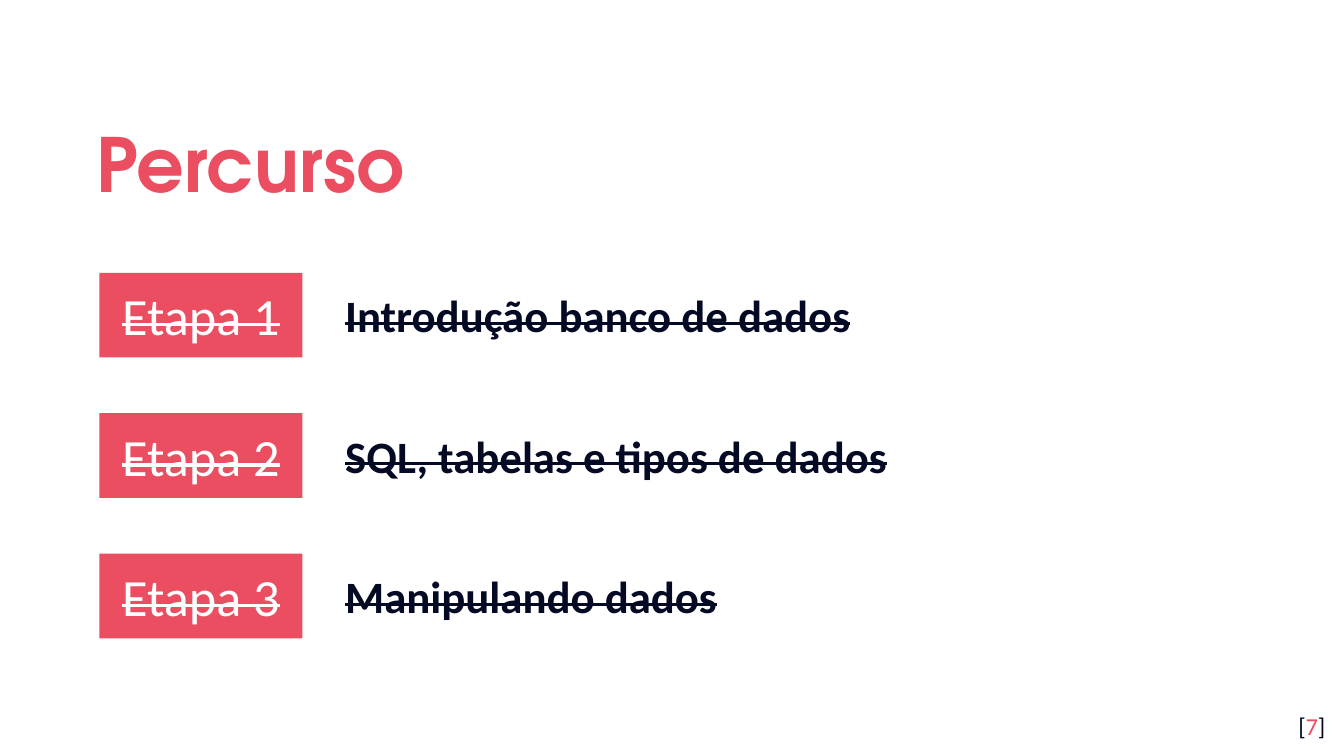
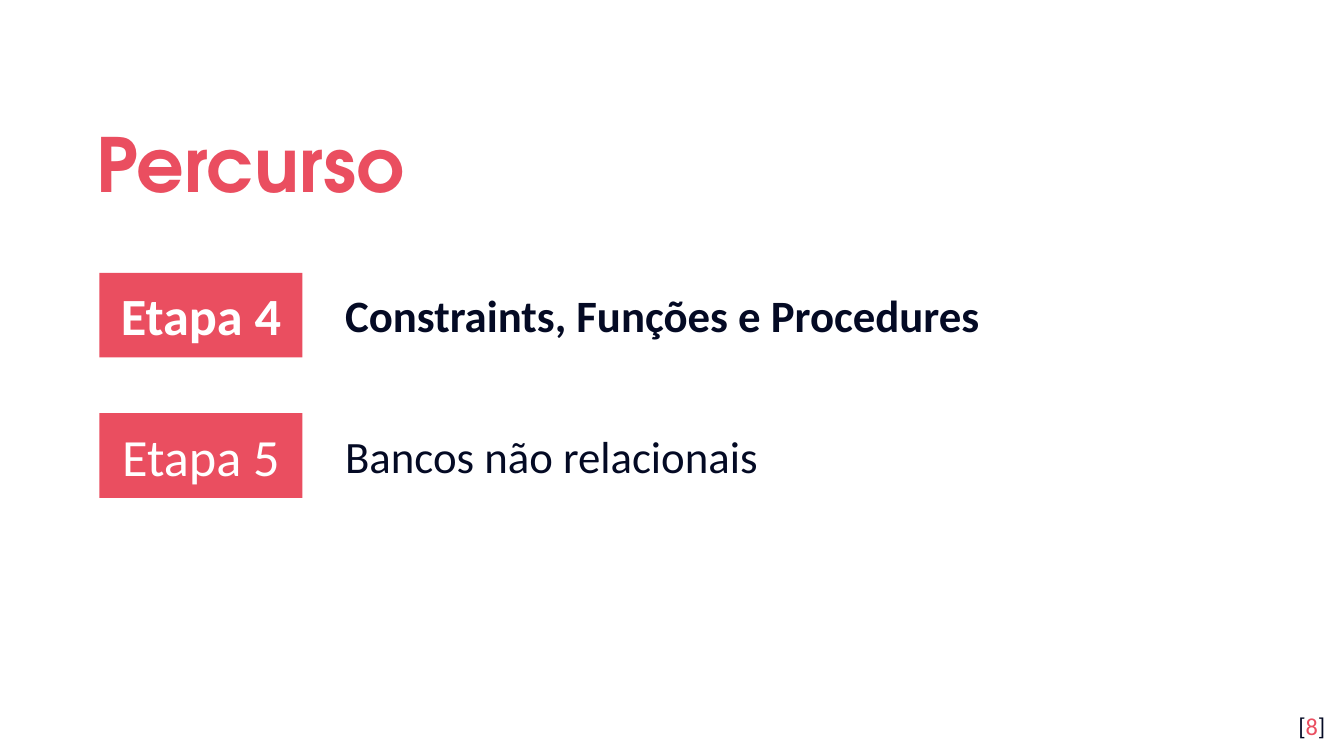
"""Builds the two course-path slides, with finished stages struck through."""
from pptx import Presentation
from pptx.dml.color import RGBColor
from pptx.enum.shapes import MSO_SHAPE
from pptx.enum.text import MSO_ANCHOR, PP_ALIGN
from pptx.util import Inches, Pt

RECTANGLE = MSO_SHAPE.RECTANGLE
TOP, MIDDLE = MSO_ANCHOR.TOP, MSO_ANCHOR.MIDDLE
LEFT, CENTER, RIGHT = PP_ALIGN.LEFT, PP_ALIGN.CENTER, PP_ALIGN.RIGHT

TITLE = "Percurso"
SLIDES = [
    {"number": 7, "stages": [
        {"label": "Etapa 1", "topic": "Introdução banco de dados", "state": "done"},
        {"label": "Etapa 2", "topic": "SQL, tabelas e tipos de dados", "state": "done"},
        {"label": "Etapa 3", "topic": "Manipulando dados", "state": "done"},
    ]},
    {"number": 8, "stages": [
        {"label": "Etapa 4", "topic": "Constraints, Funções e Procedures", "state": "current"},
        {"label": "Etapa 5", "topic": "Bancos não relacionais", "state": "next"},
    ]},
]

COLORS = {"accent": "EA4E60", "ink": "040A24", "white": "FFFFFF"}
TITLE_FONT, BODY_FONT = "TeX Gyre Adventor", "Calibri"

SLIDE_WIDTH = Inches(10)
SLIDE_HEIGHT = SLIDE_WIDTH * 9 // 16
FIRST_STAGE_TOP, LAST_STAGE_TOP = 2.03, 4.12
STAGE_PITCH = (LAST_STAGE_TOP - FIRST_STAGE_TOP) / 2
LABEL_LEFT, LABEL_WIDTH, LABEL_HEIGHT = 0.74, 1.51, 0.63
TOPIC_LEFT, TOPIC_WIDTH, TOPIC_HEIGHT = 2.47, 7.1, 0.5
HANGING_INDENT = 0.5


def color(name):
    return RGBColor.from_string(COLORS[name])


def set_frame(shape, anchor=TOP, vertical_inset=0.1):
    frame = shape.text_frame
    frame.word_wrap = True
    frame.vertical_anchor = anchor
    frame.margin_left = frame.margin_right = Inches(0.1)
    frame.margin_top = frame.margin_bottom = Inches(vertical_inset)
    return frame.paragraphs[0]


def set_indent(paragraph, margin, first_line):
    properties = paragraph._p.get_or_add_pPr()
    properties.set("marL", str(Inches(margin)))
    properties.set("indent", str(Inches(first_line)))


def add_run(paragraph, text, size, color_name, font=BODY_FONT, bold=False, strike=False):
    run = paragraph.add_run()
    run.text = text
    run.font.name = font
    run.font.size = Pt(size)
    run.font.bold = bold
    run.font.color.rgb = color(color_name)
    if strike:
        run.font._element.set("strike", "sngStrike")


def add_text_box(slide, left, top, width, height, **frame_options):
    box = slide.shapes.add_textbox(Inches(left), Inches(top), Inches(width), Inches(height))
    return set_frame(box, **frame_options)


def add_title(slide):
    paragraph = add_text_box(slide, 0.62, 0.7, 8.1, 0.92, anchor=MIDDLE)
    paragraph.line_spacing = 1.15
    add_run(paragraph, TITLE, 40, "accent", TITLE_FONT, bold=True)


def add_stage(slide, top, label, topic, state):
    done, current = state == "done", state == "current"
    box = slide.shapes.add_shape(RECTANGLE, Inches(LABEL_LEFT), Inches(top),
                                 Inches(LABEL_WIDTH), Inches(LABEL_HEIGHT))
    box.shadow.inherit = False
    box.fill.solid()
    box.fill.fore_color.rgb = color("accent")
    box.line.fill.background()
    paragraph = set_frame(box, MIDDLE)
    paragraph.alignment = CENTER
    paragraph.level = 1
    set_indent(paragraph, 0, 0)
    add_run(paragraph, label, 28, "white", bold=current, strike=done)

    topic_top = top + (LABEL_HEIGHT - TOPIC_HEIGHT) / 2
    paragraph = add_text_box(slide, TOPIC_LEFT, topic_top, TOPIC_WIDTH, TOPIC_HEIGHT,
                             vertical_inset=0.05)
    paragraph.alignment = LEFT
    set_indent(paragraph, HANGING_INDENT, -HANGING_INDENT)
    add_run(paragraph, topic, 24, "ink", bold=done or current, strike=done)


def add_page_number(slide, number):
    paragraph = add_text_box(slide, 9.36, 5.19, 0.6, 0.43)
    paragraph.alignment = RIGHT
    for text, color_name in (("[", "ink"), (str(number), "accent"), ("]", "ink")):
        add_run(paragraph, text, 13, color_name)


def main():
    presentation = Presentation()
    presentation.slide_width = SLIDE_WIDTH
    presentation.slide_height = SLIDE_HEIGHT
    blank_layout = presentation.slide_layouts[6]
    for content in SLIDES:
        slide = presentation.slides.add_slide(blank_layout)
        slide.background.fill.solid()
        slide.background.fill.fore_color.rgb = color("white")
        add_title(slide)
        for row, stage in enumerate(content["stages"]):
            add_stage(slide, FIRST_STAGE_TOP + row * STAGE_PITCH, **stage)
        add_page_number(slide, content["number"])
    presentation.save("out.pptx")


if __name__ == "__main__":
    main()
